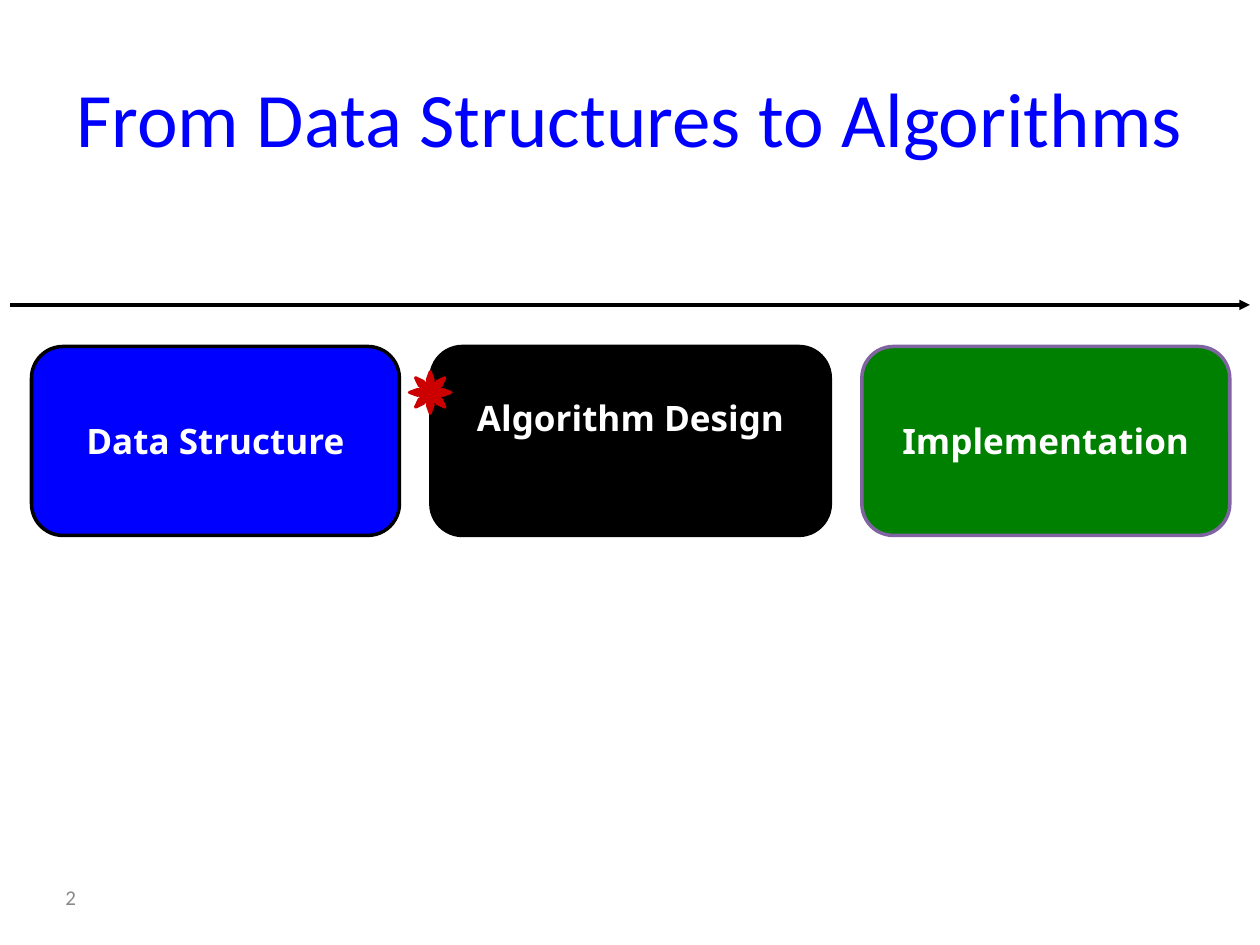
from pptx import Presentation
from pptx.dml.color import RGBColor
from pptx.enum.shapes import MSO_CONNECTOR, MSO_SHAPE
from pptx.enum.text import MSO_ANCHOR, PP_ALIGN
from pptx.oxml.ns import qn
from pptx.util import Inches, Pt
from lxml.etree import SubElement


def paint(form, code):
    """Set a solid colour on a fill or a line's fill."""
    form.solid()
    form.fore_color.rgb = RGBColor.from_string(code)


def write(frame, text, size, font, code, align, bold=False):
    """Put one styled, vertically centred paragraph in a frame."""
    frame.text = text
    frame.vertical_anchor = MSO_ANCHOR.MIDDLE
    para = frame.paragraphs[0]
    para.alignment = align
    style = para.runs[0].font
    style.size, style.name, style.bold = Pt(size), font, bold
    style.color.rgb = RGBColor.from_string(code)


def add_label(slide, box, text, size, code, align):
    """Add a plain line of text in the given box."""
    frame = slide.shapes.add_textbox(*map(Inches, box)).text_frame
    frame.word_wrap = True
    write(frame, text, size, "Calibri", code, align)


def add_form(slide, kind, box, adjust, fill, edge, width):
    """Add a filled and outlined preset shape."""
    form = slide.shapes.add_shape(kind, *map(Inches, box))
    form.adjustments[0] = adjust
    form.shadow.inherit = False
    paint(form.fill, fill)
    paint(form.line.fill, edge)
    form.line.width = Pt(width)
    return form


def add_axis(slide, left, top, width):
    """Draw the arrow that runs from left to right over the stages."""
    line = slide.shapes.add_connector(
        MSO_CONNECTOR.STRAIGHT, Inches(left), Inches(top),
        Inches(left + width), Inches(top))
    paint(line.line.fill, "000000")
    line.line.width = Pt(2)
    SubElement(line.line._get_or_add_ln(), qn("a:tailEnd"), type="triangle")
    SubElement(line._element.spPr, qn("a:effectLst"))


def add_stages(slide, left, top, height, gap, stages):
    """Lay the stages out in a row with equal gaps."""
    for text, width, fill, edge, base in stages:
        form = add_form(slide, MSO_SHAPE.ROUNDED_RECTANGLE,
                        (left, top, width, height), 0.167, fill, edge, 2)
        frame = form.text_frame
        write(frame, text, 20, "Noto Sans", "FFFFFF", PP_ALIGN.CENTER, True)
        frame.word_wrap = False
        frame.margin_bottom = Inches(base)
        left += width + gap


def main():
    """Build the slide and save it."""
    deck = Presentation()
    deck.slide_width, deck.slide_height = Inches(10), Inches(7.5)
    slide = deck.slides.add_slide(deck.slide_layouts[6])
    add_label(slide, (0.5, 0.3, 9, 1.25), "From Data Structures to Algorithms",
              44, "0000FF", PP_ALIGN.CENTER)
    add_label(slide, (0.42, 6.92, 1.08, 0.4), "2", 12, "898989",
              PP_ALIGN.LEFT)
    add_axis(slide, 0.08, 2.42, 9.84)
    add_stages(slide, 0.25, 2.75, 1.5, 0.25, [
        ("Data Structure", 2.92, "0000FF", "000000", 0.05),
        ("Algorithm Design", 3.17, "000000", "000000", 0.42),
        ("Implementation", 2.92, "008000", "8064A2", 0.05),
    ])
    add_form(slide, MSO_SHAPE.SUN, (3.25, 2.95, 0.33, 0.33), 0.25,
             "CC0000", "CC0000", 1.75)
    deck.save("out.pptx")


if __name__ == "__main__":
    main()
